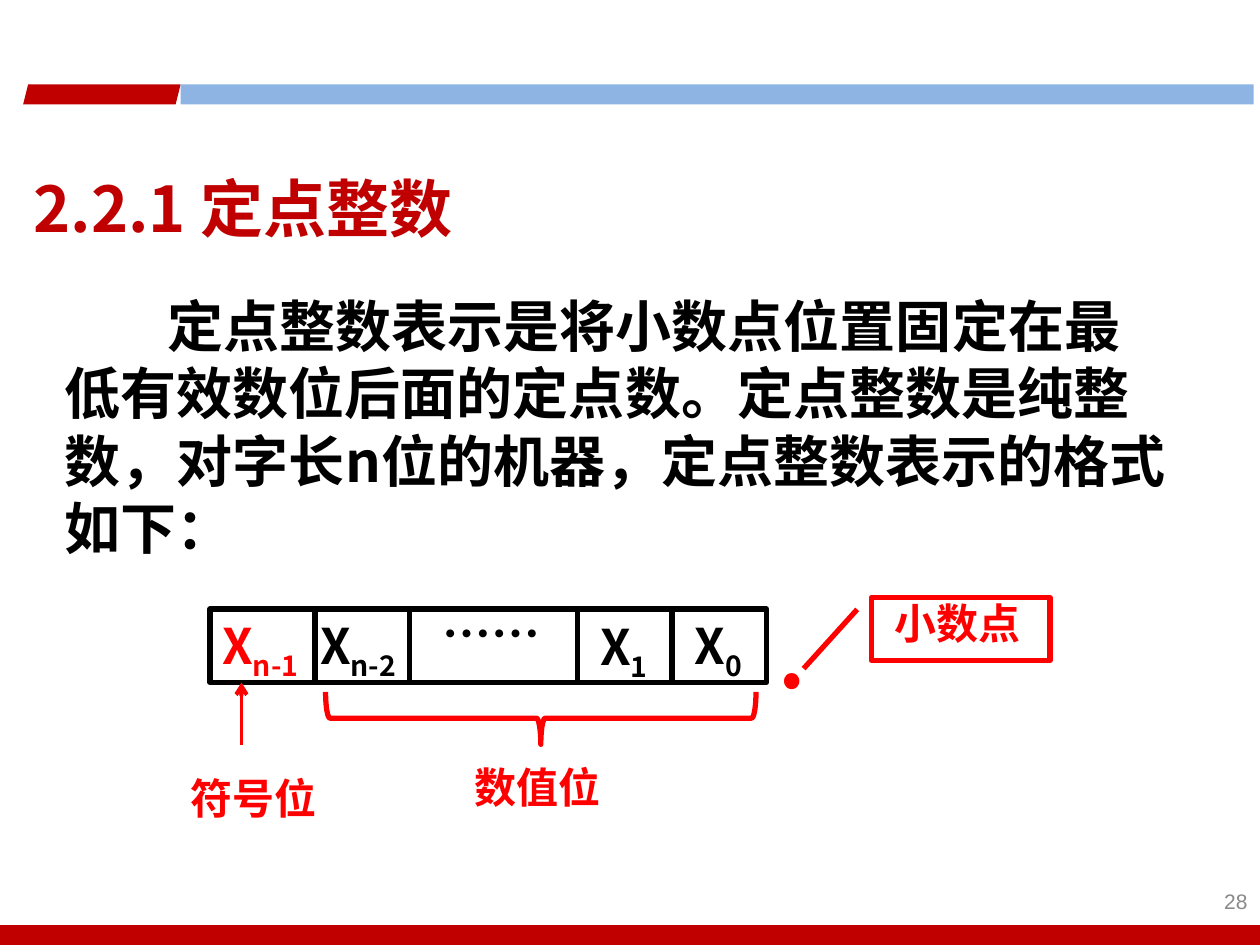
import pptx
import pptx.util
import pptx.dml.color
import pptx.enum.shapes
import pptx.enum.text
import pptx.oxml.ns
import lxml.etree

COLORS = {"crimson": "C00000", "sky": "8EB4E3", "red": "FF0000",
          "black": "000000", "gray": "898989"}
CJK = "Noto Sans CJK SC"
KIND = pptx.enum.shapes.MSO_SHAPE
ALIGN = pptx.enum.text.PP_ALIGN
ANCHOR = pptx.enum.text.MSO_ANCHOR

deck = pptx.Presentation()
deck.slide_width = pptx.util.Inches(10)
deck.slide_height = pptx.util.Inches(7.5)
unit = deck.slide_width / 120
page = deck.slides.add_slide(deck.slide_layouts[5])


def grid(*cells):
    return [round(cell * unit) for cell in cells]


def write(box, spans, size, color, font=CJK, bold=True, align=ALIGN.LEFT, anchor=ANCHOR.TOP, indent=0):
    frame = box.text_frame
    frame_format = {"word_wrap": True, "auto_size": pptx.enum.text.MSO_AUTO_SIZE.NONE,
                    "vertical_anchor": anchor}
    for name, value in frame_format.items():
        setattr(frame, name, value)
    para = frame.paragraphs[0]
    para.alignment = align
    if indent:
        para._p.get_or_add_pPr().set("indent", str(round(indent * unit)))
    for text, baseline in spans:
        span = para.add_run()
        span.text = text
        span_format = {"size": pptx.util.Pt(size), "bold": bold, "name": font}
        for name, value in span_format.items():
            setattr(span.font, name, value)
        span.font.color.rgb = pptx.dml.color.RGBColor.from_string(COLORS[color])
        properties = span._r.get_or_add_rPr()
        east = lxml.etree.SubElement(properties, pptx.oxml.ns.qn("a:ea"))
        east.set("typeface", font)
        if baseline:
            properties.set("baseline", str(baseline * 1000))


bars = [
    (KIND.RECTANGLE, (0, 88.1, 120, 1.9), "crimson"),
    (KIND.PARALLELOGRAM, (2.2, 8.05, 15, 1.9), "crimson"),
    (KIND.RECTANGLE, (17.2, 8.05, 102.2, 1.9), "sky"),
]
for kind, cells, color in bars:
    bar = page.shapes.add_shape(kind, *grid(*cells))
    bar.shadow.inherit = False
    bar.fill.solid()
    bar.fill.fore_color.rgb = pptx.dml.color.RGBColor.from_string(COLORS[color])
    bar.line.fill.background()

title = page.shapes.title
for name, value in zip(("left", "top", "width", "height"), grid(2, 15.5, 60, 8.4)):
    setattr(title, name, value)
write(title, [("2.2.1 定点整数", 0)], 36, "crimson")

body = "定点整数表示是将小数点位置固定在最低有效数位后面的定点数。定点整数是纯整数，对字长n位的机器，定点整数表示的格式如下："
write(page.shapes.add_textbox(*grid(5, 27.2, 108, 26.9)), [(body, 0)], 32, "black", indent=9.8)
write(page.shapes.add_textbox(*grid(113.4, 83.4, 6.6, 4.8)), [("28", 0)], 12, "gray",
      font="Arial", bold=False, align=ALIGN.RIGHT, anchor=ANCHOR.MIDDLE)

outlines = [
    (KIND.RECTANGLE, (20, 58, 53, 7), "black", 0, ()),
    (KIND.RIGHT_BRACE, (49, 47.9, 5, 41), "red", 90, ()),
    (KIND.LINE_CALLOUT_1, (83, 56.9, 17, 6), "red", 0, (0.19, -0.08, 1.13, -0.38)),
]
for kind, cells, color, rotation, adjustments in outlines:
    outline = page.shapes.add_shape(kind, *grid(*cells))
    outline.shadow.inherit = False
    outline.fill.background()
    outline.line.color.rgb = pptx.dml.color.RGBColor.from_string(COLORS[color])
    outline.line.width = pptx.util.Pt(3)
    outline.rotation = rotation
    for index, value in enumerate(adjustments):
        outline.adjustments[index] = value

lines = [((column, 58, column, 65), "black", 3, False) for column in (30, 39, 55, 64)]
lines.append(((23, 71, 23, 65), "red", 2.25, True))
for cells, color, width, arrow in lines:
    line = page.shapes.add_connector(pptx.enum.shapes.MSO_CONNECTOR.STRAIGHT, *grid(*cells))
    line.line.color.rgb = pptx.dml.color.RGBColor.from_string(COLORS[color])
    line.line.width = pptx.util.Pt(width)
    if arrow:
        tail = lxml.etree.SubElement(line.line._get_or_add_ln(), pptx.oxml.ns.qn("a:tailEnd"))
        tail.set("type", "arrow")
    lxml.etree.SubElement(line._element.spPr, pptx.oxml.ns.qn("a:effectLst"))

labels = [
    ((20, 58, 12, 7.5), "X", "n-1", 28, "red"),
    ((29.3, 58, 12, 7.5), "X", "n-2", 28, "black"),
    ((41, 56.9, 12, 6.9), "……", "", 28, "black"),
    ((56, 58.1, 12, 7.5), "X", "1", 28, "black"),
    ((65, 58, 12, 7.5), "X", "0", 28, "black"),
    ((73, 57, 12, 10.8), ".", "", 48, "red"),
    ((17, 73, 20, 6), "符号位", "", 24, "red"),
    ((44, 71.9, 20, 6), "数值位", "", 24, "red"),
    ((84, 56.3, 20, 6), "小数点", "", 24, "red"),
]
for cells, text, subscript, size, color in labels:
    spans = [(text, 0)] + ([(subscript, -25)] if subscript else [])
    write(page.shapes.add_textbox(*grid(*cells)), spans, size, color)

deck.save("out.pptx")
